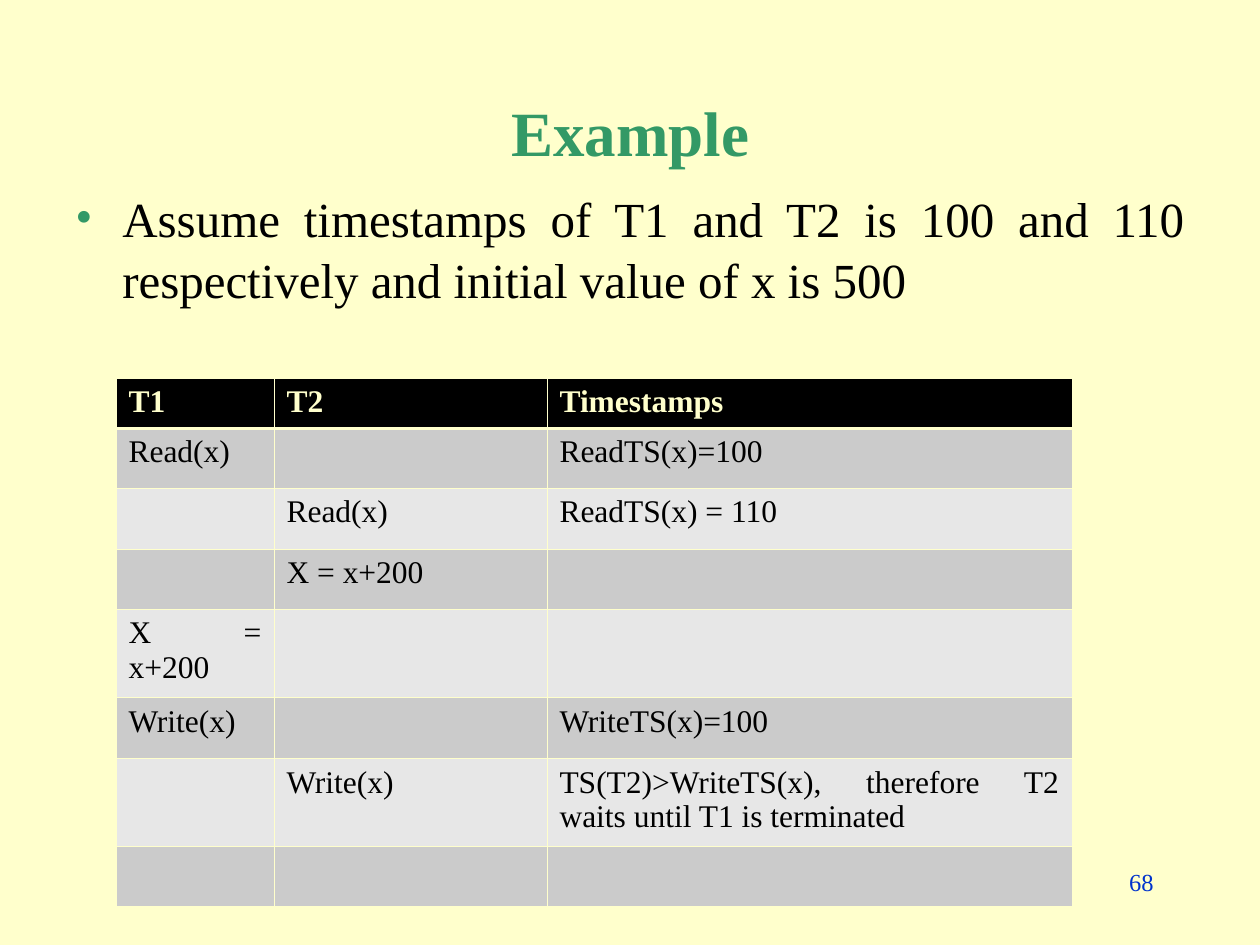
import pptx
import pptx.dml.color
import pptx.enum.text
import pptx.oxml.ns
import pptx.util
from lxml import etree

FONT = "Times New Roman"
CREAM, GREEN, BLACK, BLUE = "FFFFCC", "339966", "000000", "0033CC"
BANDS = ("CBCBCB", "E7E7E7")
ALIGN = pptx.enum.text.PP_ALIGN
ANCHOR = pptx.enum.text.MSO_ANCHOR

TITLE = "Example"
ASSUMPTION = ("Assume timestamps of T1 and T2 is 100 and 110 respectively "
              "and initial value of x is 500")
PAGE = "68"
SCHEDULE = [
    ("T1", "T2", "Timestamps"),
    ("Read(x)", "", "ReadTS(x)=100"),
    ("", "Read(x)", "ReadTS(x) = 110"),
    ("", "X = x+200", ""),
    ("X = x+200", "", ""),
    ("Write(x)", "", "WriteTS(x)=100"),
    ("", "Write(x)", "TS(T2)>WriteTS(x), therefore T2 waits until T1 is terminated"),
    ("", "", ""),
]
COL_WIDTHS = (158, 273, 525)
ROW_HEIGHTS = (50, 60, 61, 60, 88, 61, 88, 60)


def px(n):
    return pptx.util.Emu(round(n * 914400 / 126))


def rgb(value):
    return pptx.dml.color.RGBColor.from_string(value)


def add_sub(parent, tag, **attrs):
    return etree.SubElement(parent, pptx.oxml.ns.qn(tag), attrs)


def write(p, text, size, color, align, bold=False):
    p.alignment = align
    r = p.add_run()
    r.text = text
    r.font.name = FONT
    r.font.size = pptx.util.Pt(size)
    r.font.bold = bold
    r.font.color.rgb = rgb(color)


def add_box(s, left, top, width, height, anchor=ANCHOR.TOP):
    """Add a wrapping text box and return its first paragraph."""
    tf = s.shapes.add_textbox(px(left), px(top), px(width), px(height)).text_frame
    tf.word_wrap = True
    tf.vertical_anchor = anchor
    return tf.paragraphs[0]


def add_bullet(p, indent):
    pPr = p._p.get_or_add_pPr()
    pPr.set("marL", str(indent))
    pPr.set("indent", str(-indent))
    add_sub(add_sub(pPr, "a:buClr"), "a:srgbClr", val=GREEN)
    add_sub(pPr, "a:buFont", typeface=FONT)
    add_sub(pPr, "a:buChar", char="•")


def set_borders(cell, top, bottom):
    """Draw cream borders; must come before the fill to keep the XML order."""
    tcPr = cell._tc.get_or_add_tcPr()
    for side, width in (("L", 0.45), ("R", 0.45), ("T", top), ("B", bottom)):
        ln = add_sub(tcPr, f"a:ln{side}", w=str(pptx.util.Pt(width)))
        add_sub(add_sub(ln, "a:solidFill"), "a:srgbClr", val=CREAM)


def add_schedule(s, left, top):
    frame = s.shapes.add_table(len(SCHEDULE), len(COL_WIDTHS), px(left), px(top),
                               px(sum(COL_WIDTHS)), px(sum(ROW_HEIGHTS)))
    table = frame.table
    for column, width in zip(table.columns, COL_WIDTHS):
        column.width = px(width)
    for i, (row, height) in enumerate(zip(SCHEDULE, ROW_HEIGHTS)):
        table.rows[i].height = px(height)
        header = i == 0
        for j, text in enumerate(row):
            cell = table.cell(i, j)
            set_borders(cell, 1.47 if i == 1 else 0.45, 1.47 if header else 0.45)
            cell.fill.solid()
            cell.fill.fore_color.rgb = rgb(BLACK if header else BANDS[(i - 1) % 2])
            if text:
                write(cell.text_frame.paragraphs[0], text, 18,
                      CREAM if header else BLACK, ALIGN.JUSTIFY, header)


def main():
    prs = pptx.Presentation()
    prs.slide_width, prs.slide_height = px(1260), px(945)
    s = prs.slides.add_slide(prs.slide_layouts[6])
    s.background.fill.solid()
    s.background.fill.fore_color.rgb = rgb(CREAM)

    write(add_box(s, 95, 84, 1071, 95, ANCHOR.MIDDLE), TITLE, 36, GREEN, ALIGN.CENTER, True)

    p = add_box(s, 63, 179, 1134, 665)
    p.line_spacing = 1.05
    add_bullet(p, px(47))
    write(p, ASSUMPTION, 28, BLACK, ALIGN.JUSTIFY)

    write(add_box(s, 903, 861, 263, 63), PAGE, 14, BLUE, ALIGN.RIGHT)
    add_schedule(s, 116, 378)
    prs.save("out.pptx")


if __name__ == "__main__":
    main()
